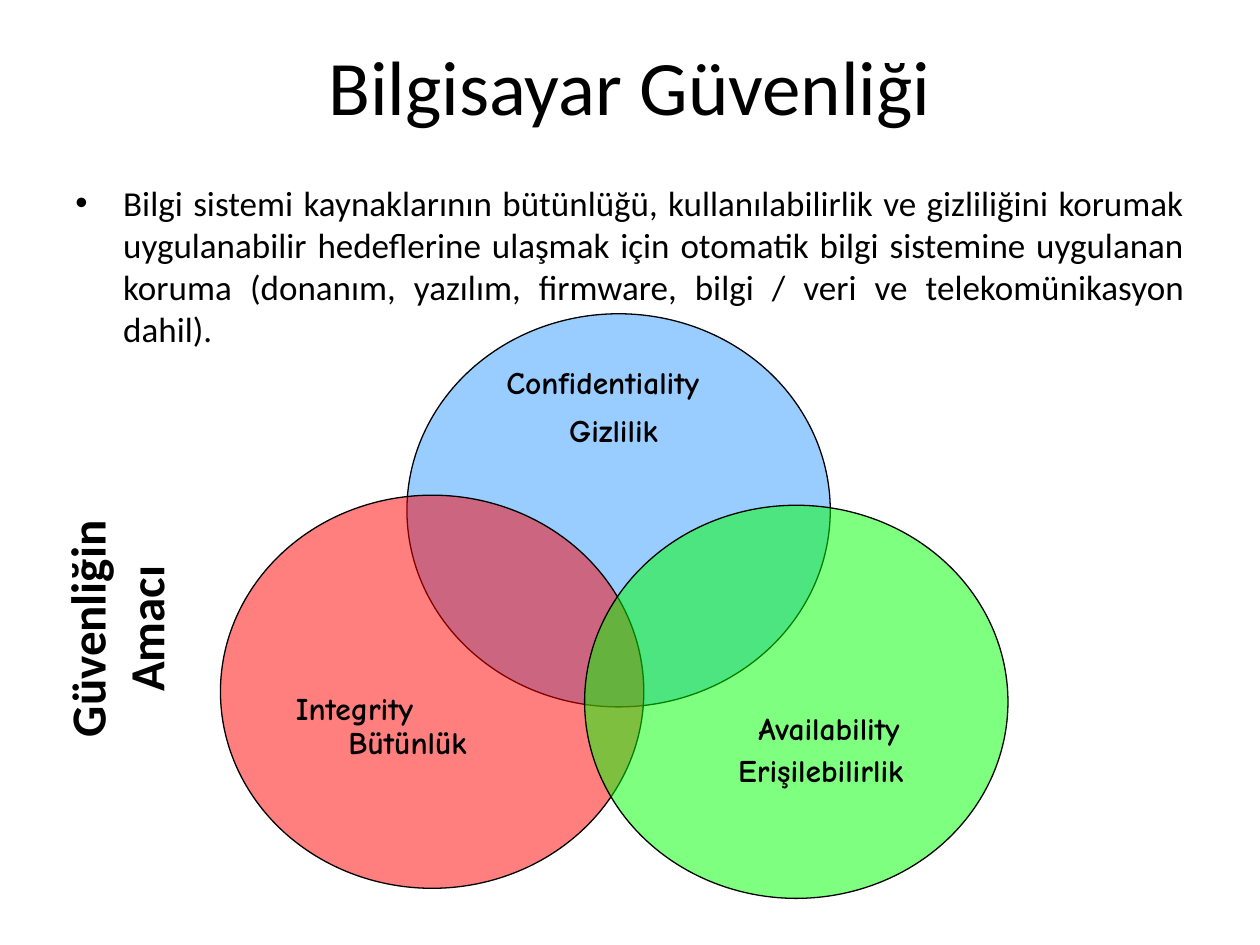
from typing import NamedTuple

from lxml.etree import SubElement
from pptx import Presentation
from pptx.dml.color import RGBColor
from pptx.enum.shapes import MSO_SHAPE
from pptx.enum.text import MSO_ANCHOR, PP_ALIGN
from pptx.oxml.ns import qn
from pptx.util import Inches, Pt

BLACK = "000000"
SIZE = (3.36, 3.12)


class Disc(NamedTuple):
    left: float
    top: float
    fill: str
    alpha: int = 100


class Label(NamedTuple):
    text: str
    box: tuple
    font: dict
    align: PP_ALIGN = PP_ALIGN.CENTER
    anchor: MSO_ANCHOR = MSO_ANCHOR.TOP
    turn: int = 0
    bullet: bool = False


def color(code: str) -> RGBColor:
    return RGBColor.from_string(code)


def add_disc(slide, disc: Disc) -> None:
    box = map(Inches, (disc.left, disc.top, *SIZE))
    shape = slide.shapes.add_shape(MSO_SHAPE.OVAL, *box)
    shape.shadow.inherit = False
    shape.fill.solid()
    shape.fill.fore_color.rgb = color(disc.fill)
    shape.line.color.rgb = color(BLACK)
    shape.line.width = Pt(0.75)
    if disc.alpha < 100:
        tint = shape._element.spPr.find(qn("a:solidFill"))[0]
        SubElement(tint, qn("a:alpha"), val=str(disc.alpha * 1000))


def add_label(slide, label: Label) -> None:
    shape = slide.shapes.add_textbox(*map(Inches, label.box))
    shape.rotation = label.turn
    frame = shape.text_frame
    frame.word_wrap = True
    frame.vertical_anchor = label.anchor
    para = frame.paragraphs[0]
    para.text = label.text
    para.alignment = label.align
    if label.bullet:
        props = para._p.get_or_add_pPr()
        props.set("marL", str(Inches(0.38)))
        props.set("indent", str(Inches(-0.38)))
        SubElement(props, qn("a:buFont"), typeface="Arial")
        SubElement(props, qn("a:buChar"), char="•")
    font = para.runs[0].font
    for key, value in label.font.items():
        setattr(font, key, value)
    font.color.rgb = color(BLACK)


# Text formats
HEAD = {"name": "Calibri", "size": Pt(44)}
BODY = {"name": "Calibri", "size": Pt(20)}
SIDE = {"name": "Calibri", "size": Pt(28), "bold": True}
NOTE = {"name": "Comic Neue", "size": Pt(18), "bold": True}

# Circles, back to front
DISCS = [
    Disc(3.23, 2.49, "99CCFF"),
    Disc(1.75, 3.93, "FF0000", 50),
    Disc(4.64, 4.01, "00FF00", 50),
]

INTRO = (
    "Bilgi sistemi kaynaklarının bütünlüğü, kullanılabilirlik ve gizliliğini "
    "korumak uygulanabilir hedeflerine ulaşmak için otomatik bilgi sistemine "
    "uygulanan koruma (donanım, yazılım, firmware, bilgi / veri ve "
    "telekomünikasyon dahil)."
)

# Title and definition
TEXTS = [
    Label("Bilgisayar Güvenliği", (0.5, 0.05, 9, 1.25), HEAD,
          anchor=MSO_ANCHOR.MIDDLE),
    Label(INTRO, (0.5, 1.39, 9, 1.49), BODY, PP_ALIGN.JUSTIFY, bullet=True),
]

# Names of the goals in both languages, and the side heading
NAMES = [
    Label("Bütünlük", (2.22, 5.69, 2.03, 0.4), NOTE),
    Label("Gizlilik", (3.62, 3.21, 2.5, 0.4), NOTE),
    Label("Erişilebilirlik", (5.46, 5.91, 2.11, 0.4), NOTE),
    Label("Güvenliğin Amacı", (-0.38, 4.47, 2.6, 1.04), SIDE, turn=270),
    Label("Confidentiality", (3.92, 2.83, 2.67, 0.5), NOTE, PP_ALIGN.LEFT),
    Label("Integrity", (2.25, 5.42, 2.17, 0.5), NOTE, PP_ALIGN.LEFT),
    Label("Availability", (5.92, 5.58, 2.25, 0.4), NOTE, PP_ALIGN.LEFT),
]


def main() -> None:
    deck = Presentation()
    deck.slide_width, deck.slide_height = Inches(10), Inches(7.5)
    slide = deck.slides.add_slide(deck.slide_layouts[6])
    for text in TEXTS:
        add_label(slide, text)
    for disc in DISCS:
        add_disc(slide, disc)
    for name in NAMES:
        add_label(slide, name)
    deck.save("out.pptx")


if __name__ == "__main__":
    main()
